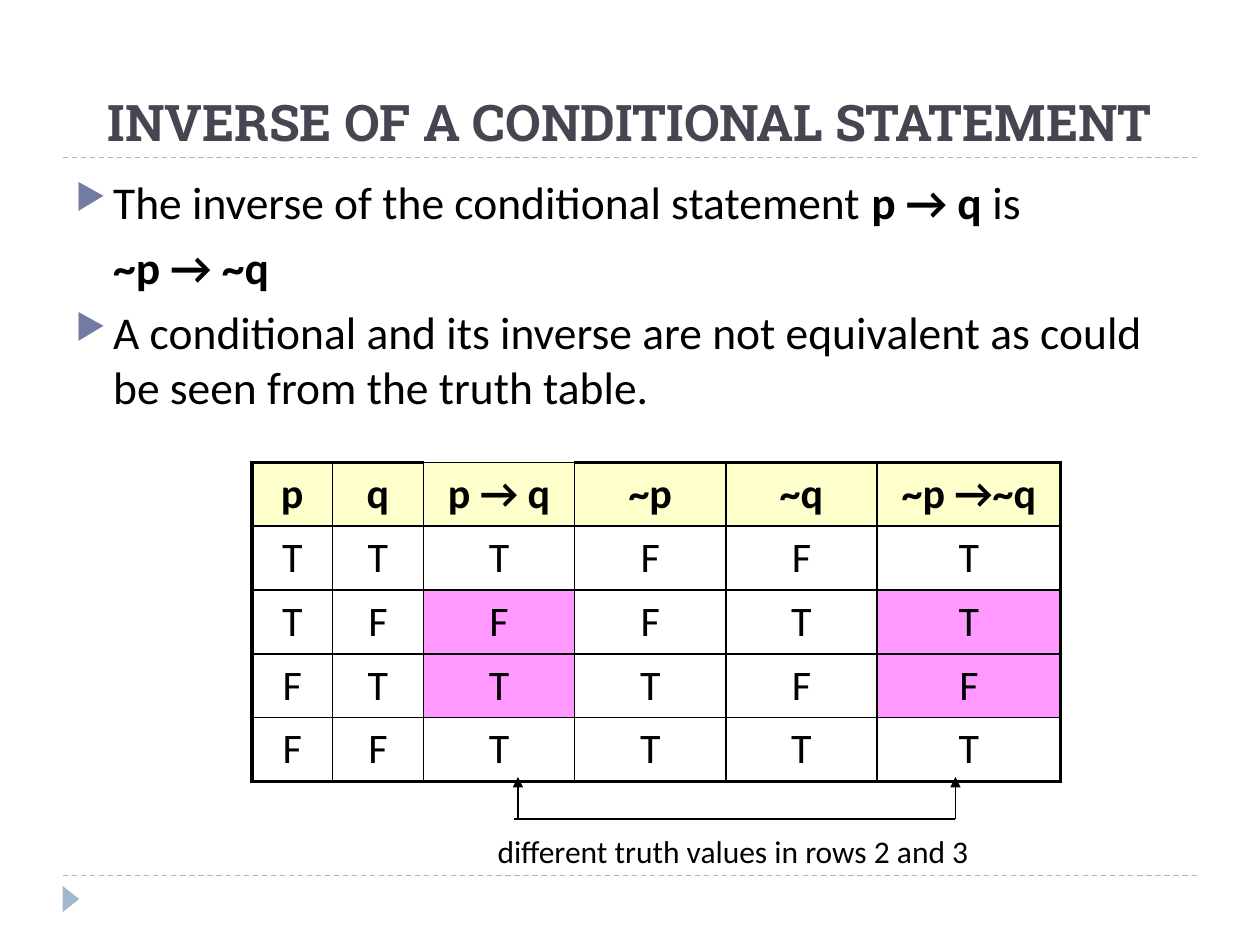
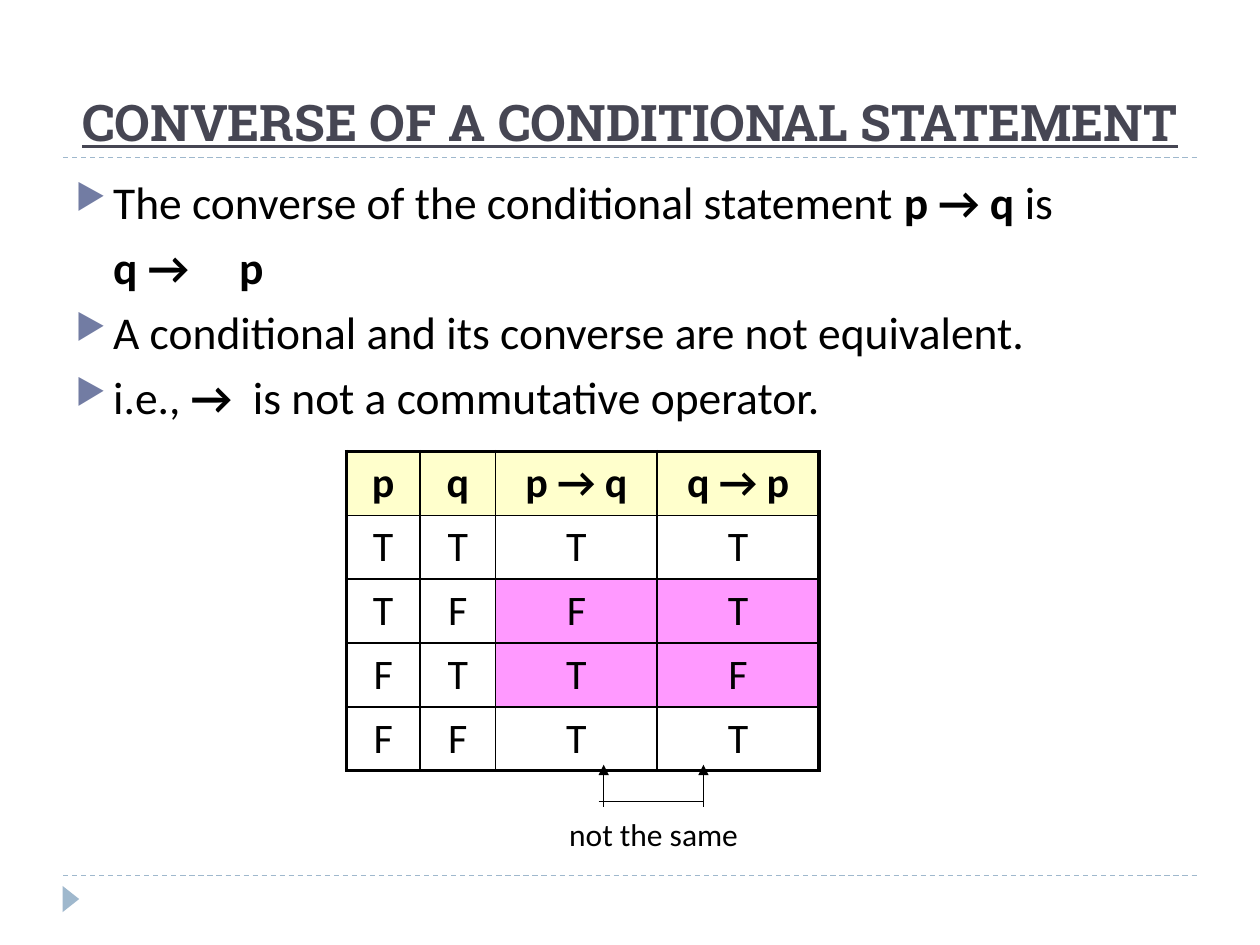
from dataclasses import dataclass
from typing import Any

import lxml.etree
import pptx
import pptx.dml.color
import pptx.enum.dml
import pptx.enum.shapes
import pptx.enum.text
import pptx.oxml.ns
import pptx.util

Pt = pptx.util.Pt
RGBColor = pptx.dml.color.RGBColor
qn = pptx.oxml.ns.qn

BLACK = RGBColor(0x00, 0x00, 0x00)
SLATE = RGBColor(0x46, 0x46, 0x53)
BULLET_BLUE = RGBColor(0x72, 0x7C, 0xA3)
RULE_BLUE = RGBColor(0x9F, 0xB8, 0xCD)
HEADER_YELLOW = RGBColor(0xFF, 0xFF, 0xCC)
DIFFERENCE_PINK = RGBColor(0xFF, 0x99, 0xFF)

TITLE_FONT = {"name": "Roboto Slab", "size": Pt(28.8), "bold": True}
BODY_FONT = {"name": "Calibri", "size": Pt(26)}
CELL_FONT = {"name": "Calibri", "size": Pt(24)}
CAPTION_FONT = {"name": "Calibri", "size": Pt(18)}

MARGIN, CONTENT_WIDTH = 36, 648
RULE_HEIGHTS = (90, 500.4)
HANGING = 21.6
ROW_HEIGHT = 36.5
OUTER_BORDER, INNER_BORDER = 2.25, 1
DIFFERING_ROWS = (2, 3)


@dataclass(frozen=True)
class Statement:
    """One body paragraph; each run is its text and whether it is bold."""
    runs: tuple[tuple[str, bool], ...]
    bulleted: bool = True


@dataclass(frozen=True)
class TruthTable:
    left: float
    top: float
    widths: tuple[float, ...]
    rows: tuple[str, ...]
    compared: tuple[int, int]
    thin_top: tuple[int, ...] = ()


@dataclass(frozen=True)
class Comparison:
    """Bracket whose arrows point up at the two compared columns."""
    arrows: tuple[float, float]
    tip: float
    foot: float
    bar_left: float
    bar: float
    caption: str
    caption_box: tuple[float, float, float, float]


@dataclass(frozen=True)
class Lesson:
    title: str
    underlined: bool
    statements: tuple[Statement, ...]
    table: TruthTable
    comparison: Comparison


LESSONS = (
    Lesson(
        "INVERSE OF A CONDITIONAL STATEMENT", False,
        (
            Statement((("The inverse of the conditional statement ", False),
                       ("p → q", True), (" is", False))),
            Statement((("~p → ~q", True),), bulleted=False),
            Statement((("A conditional and its inverse are not equivalent as could "
                        "be seen from the truth table.", False),)),
        ),
        TruthTable(144, 264.2, (46, 52, 86.4, 86.4, 86.4, 105),
                   ("p|q|p → q|~p|~q|~p →~q", "T|T|T|F|F|T", "T|F|F|F|T|T",
                    "F|T|T|T|F|F", "F|F|T|T|T|T"),
                   compared=(2, 5), thin_top=(2,)),
        Comparison((296, 546), 444, 468, 294, 468,
                   "different truth values in rows 2 and 3", (277.2, 471.6, 287.3, 29)),
    ),
    Lesson(
        "CONVERSE OF A CONDITIONAL STATEMENT", True,
        (
            Statement((("The converse of the conditional statement ", False),
                       ("p → q", True), (" is", False))),
            Statement((("q →\tp", True),), bulleted=False),
            Statement((("A conditional and its converse are not equivalent.", False),)),
            Statement((("i.e., ", False), ("→  ", True),
                       ("is not a commutative operator.", False))),
        ),
        TruthTable(198, 258, (42, 43.2, 92.4, 92.4),
                   ("p|q|p → q|q → p", "T|T|T|T", "T|F|F|T", "F|T|T|F", "F|F|T|T"),
                   compared=(2, 3)),
        Comparison((345, 402), 437, 461, 342, 458,
                   "not the same", (318.2, 462.2, 110.9, 29)),
    ),
)


def set_attributes(target: Any, values: dict[str, Any]) -> None:
    for name, value in values.items():
        setattr(target, name, value)


def add_run(paragraph: Any, text: str, font: dict[str, Any],
            color: RGBColor = BLACK, **extra: Any) -> None:
    run = paragraph.add_run()
    run.text = text
    set_attributes(run.font, font | extra)
    run.font.color.rgb = color


def add_frame(slide: Any, box: tuple[float, float, float, float], **layout: Any) -> Any:
    frame = slide.shapes.add_textbox(*map(Pt, box)).text_frame
    set_attributes(frame, {"word_wrap": True} | layout)
    return frame


def add_line(slide: Any, start: tuple[float, float], end: tuple[float, float],
             color: RGBColor = BLACK, dashed: bool = False, arrow: bool = False) -> None:
    connector = slide.shapes.add_connector(
        pptx.enum.shapes.MSO_CONNECTOR.STRAIGHT, *map(Pt, start + end))
    connector.line.width = Pt(0.75)
    connector.line.color.rgb = color
    if dashed:
        connector.line.dash_style = pptx.enum.dml.MSO_LINE.DASH
    properties = connector._element.spPr
    if arrow:
        lxml.etree.SubElement(properties.find(qn("a:ln")), qn("a:tailEnd"), type="triangle")
    lxml.etree.SubElement(properties, qn("a:effectLst"))


def draw_theme(slide: Any) -> None:
    for height in RULE_HEIGHTS:
        add_line(slide, (MARGIN, height), (MARGIN + CONTENT_WIDTH, height),
                 RULE_BLUE, dashed=True)
    marker = slide.shapes.add_shape(
        pptx.enum.shapes.MSO_SHAPE.ISOSCELES_TRIANGLE, *map(Pt, (33, 509, 15, 9.5)))
    marker.rotation = 90
    marker.shadow.inherit = False
    marker.fill.solid()
    marker.fill.fore_color.rgb = RULE_BLUE
    marker.line.fill.background()


def draw_title(slide: Any, title: str, underlined: bool) -> None:
    frame = add_frame(slide, (MARGIN, 12, CONTENT_WIDTH, 78),
                      vertical_anchor=pptx.enum.text.MSO_ANCHOR.BOTTOM)
    paragraph = frame.paragraphs[0]
    paragraph.alignment = pptx.enum.text.PP_ALIGN.CENTER
    add_run(paragraph, title, TITLE_FONT, SLATE, underline=underlined)


def set_bullet(paragraph: Any, bulleted: bool) -> None:
    """Indent the paragraph, and hang a triangle before it when bulleted."""
    properties = paragraph._p.get_or_add_pPr()
    properties.set("marL", str(Pt(HANGING)))
    properties.set("indent", str(-Pt(HANGING) if bulleted else 0))
    if bulleted:
        color = lxml.etree.SubElement(properties, qn("a:buClr"))
        lxml.etree.SubElement(color, qn("a:srgbClr"), val=str(BULLET_BLUE))
        lxml.etree.SubElement(properties, qn("a:buSzPct"), val="76000")
        lxml.etree.SubElement(properties, qn("a:buChar"), char="▶")
    else:
        lxml.etree.SubElement(properties, qn("a:buNone"))


def draw_statements(slide: Any, statements: tuple[Statement, ...]) -> None:
    frame = add_frame(slide, (MARGIN, 95.8, CONTENT_WIDTH, 388.8))
    for index, statement in enumerate(statements):
        paragraph = frame.add_paragraph() if index else frame.paragraphs[0]
        paragraph.space_before = Pt(6)
        set_bullet(paragraph, statement.bulleted)
        for text, bold in statement.runs:
            add_run(paragraph, text, BODY_FONT, bold=bold)


def set_borders(cell: Any, widths: dict[str, float]) -> None:
    properties = cell._tc.get_or_add_tcPr()
    for side, width in widths.items():
        line = lxml.etree.SubElement(properties, qn(f"a:ln{side}"), w=str(Pt(width)))
        fill = lxml.etree.SubElement(line, qn("a:solidFill"))
        lxml.etree.SubElement(fill, qn("a:srgbClr"), val=str(BLACK))


def border(outer: bool) -> float:
    return OUTER_BORDER if outer else INNER_BORDER


def draw_truth_table(slide: Any, truth: TruthTable) -> None:
    row_count, column_count = len(truth.rows), len(truth.widths)
    table = slide.shapes.add_table(
        row_count, column_count, Pt(truth.left), Pt(truth.top),
        Pt(sum(truth.widths)), Pt(ROW_HEIGHT * row_count)).table
    set_attributes(table, {"first_row": False, "horz_banding": False})
    for column, width in zip(table.columns, truth.widths):
        column.width = Pt(width)
    for r, values in enumerate(truth.rows):
        table.rows[r].height = Pt(ROW_HEIGHT)
        for c, value in enumerate(values.split("|")):
            cell = table.cell(r, c)
            set_borders(cell, {
                "L": border(c == 0),
                "R": border(c == column_count - 1),
                "T": border(r == 0 and c not in truth.thin_top),
                "B": border(r == row_count - 1),
            })
            differs = r in DIFFERING_ROWS and c in truth.compared
            if r == 0 or differs:
                cell.fill.solid()
                cell.fill.fore_color.rgb = DIFFERENCE_PINK if differs else HEADER_YELLOW
            else:
                cell.fill.background()
            paragraph = cell.text_frame.paragraphs[0]
            set_attributes(paragraph, {"alignment": pptx.enum.text.PP_ALIGN.CENTER,
                                       "space_after": Pt(10)})
            add_run(paragraph, value, CELL_FONT, bold=r == 0)


def draw_comparison(slide: Any, comparison: Comparison) -> None:
    for x in comparison.arrows:
        add_line(slide, (x, comparison.foot), (x, comparison.tip), arrow=True)
    add_line(slide, (comparison.bar_left, comparison.bar),
             (comparison.arrows[1], comparison.bar))
    frame = add_frame(slide, comparison.caption_box, word_wrap=False)
    add_run(frame.paragraphs[0], comparison.caption, CAPTION_FONT)


def main() -> None:
    presentation = pptx.Presentation()
    set_attributes(presentation, {"slide_width": Pt(720), "slide_height": Pt(540)})
    for lesson in LESSONS:
        slide = presentation.slides.add_slide(presentation.slide_layouts[6])
        draw_theme(slide)
        draw_title(slide, lesson.title, lesson.underlined)
        draw_statements(slide, lesson.statements)
        draw_truth_table(slide, lesson.table)
        draw_comparison(slide, lesson.comparison)
    presentation.save("out.pptx")


if __name__ == "__main__":
    main()
